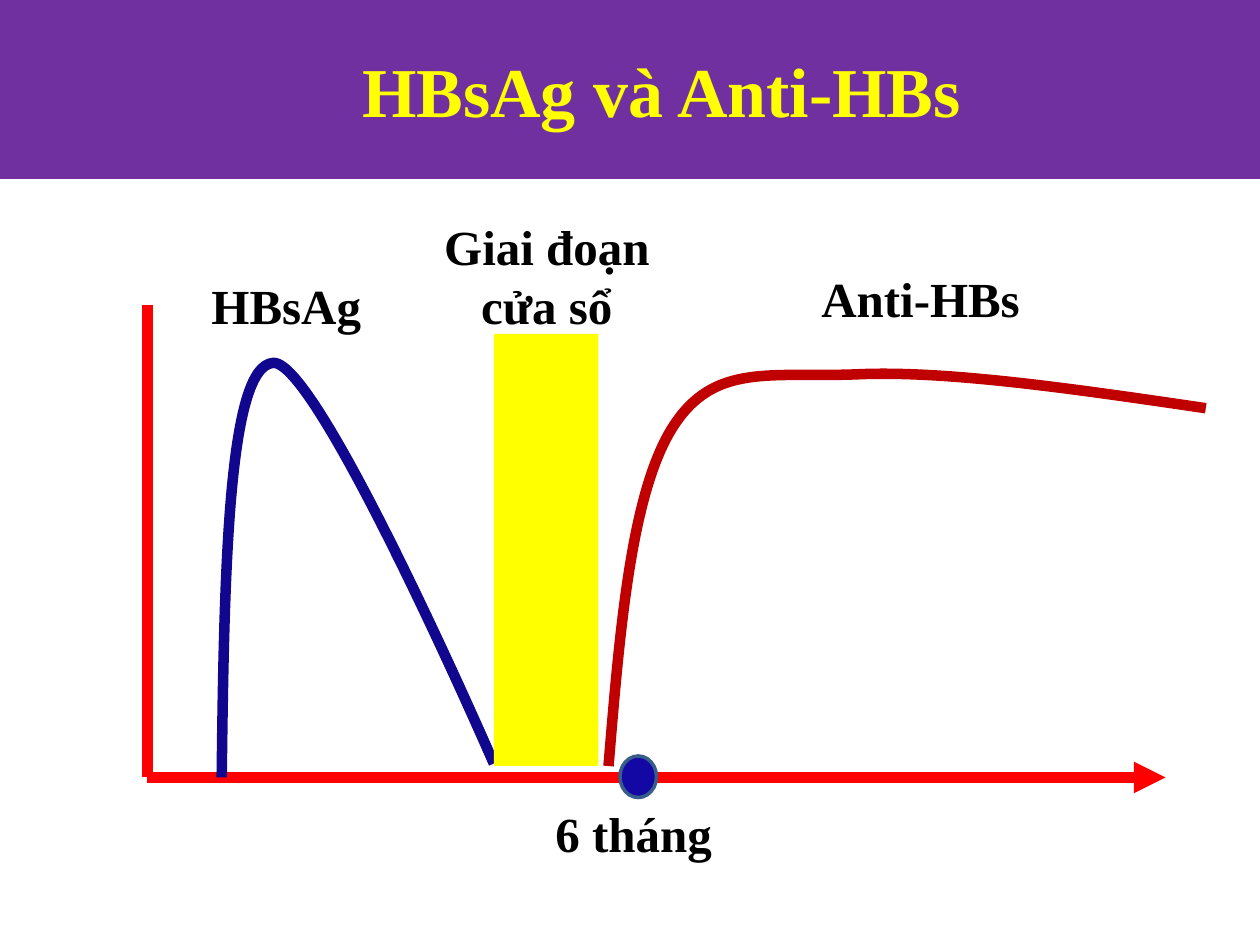
from dataclasses import dataclass

import pptx
import pptx.dml.color
import pptx.enum.shapes
import pptx.enum.text
import pptx.oxml.ns
import pptx.util
from lxml import etree

Inches, Pt = pptx.util.Inches, pptx.util.Pt
qn = pptx.oxml.ns.qn
MSO_SHAPE = pptx.enum.shapes.MSO_SHAPE
ALIGN = pptx.enum.text.PP_ALIGN
Point = tuple[float, float]


@dataclass(frozen=True)
class Theme:
    font: str = "Times New Roman"
    title_size: int = 40
    label_size: int = 28
    stroke: int = 6
    band: str = "7030A0"
    yellow: str = "FFFF00"
    text: str = "000000"
    axis: str = "FF0000"
    marker: str = "1308A4"
    marker_line: str = "385D8A"
    antigen: str = "11078F"
    antibody: str = "C00000"


@dataclass(frozen=True)
class Label:
    text: str
    box: tuple[float, float, float, float]
    align: ALIGN = ALIGN.LEFT


@dataclass(frozen=True)
class Curve:
    color: str
    start: Point
    segments: tuple[tuple[Point, Point, Point], ...]  # two controls, end


THEME = Theme()
ORIGIN: Point = (1.17, 6.17)
CURVES = (
    Curve(THEME.antigen, (1.76, 6.17), (
        ((1.78, 4.53), (1.81, 2.9), (2.17, 2.88)),
        ((2.53, 2.86), (3.92, 6.06), (3.92, 6.06)))),
    Curve(THEME.antibody, (4.83, 6.08), (
        ((4.92, 4.99), (5.01, 3.91), (5.34, 3.39)),
        ((5.67, 2.87), (6.12, 3), (6.82, 2.97)),
        ((7.53, 2.94), (8.55, 3.09), (9.57, 3.24)))),
)
LABELS = (
    Label("6 tháng", (4.31, 6.33, 1.5, 0.57)),
    Label("HBsAg", (1.58, 2.14, 1.92, 0.57)),
    Label("Anti-HBs", (6.42, 2.08, 1.92, 0.57)),
    Label("Giai đoạn cửa sổ", (3.38, 1.67, 1.92, 1.04), ALIGN.CENTER),
)


def rgb(color: str) -> pptx.dml.color.RGBColor:
    return pptx.dml.color.RGBColor.from_string(color)


def set_line(line, color: str, width: float) -> None:
    line.color.rgb = rgb(color)
    line.width = Pt(width)


def write(p, text: str, size: int, color: str, align: ALIGN) -> None:
    p.alignment = align
    r = p.add_run()
    r.text = text
    formats = {"name": THEME.font, "size": Pt(size), "bold": True}
    for name, value in formats.items():
        setattr(r.font, name, value)
    r.font.color.rgb = rgb(color)


def add_block(slide, kind: MSO_SHAPE, box: tuple, fill: str):
    s = slide.shapes.add_shape(kind, *map(Inches, box))
    s.shadow.inherit = False
    s.fill.solid()
    s.fill.fore_color.rgb = rgb(fill)
    s.line.fill.background()
    return s


def add_label(slide, label: Label) -> None:
    tf = slide.shapes.add_textbox(*map(Inches, label.box)).text_frame
    tf.word_wrap = True
    tf.auto_size = pptx.enum.text.MSO_AUTO_SIZE.SHAPE_TO_FIT_TEXT
    write(tf.paragraphs[0], label.text, THEME.label_size, THEME.text, label.align)


def add_axis(slide, start: Point, end: Point, arrow: bool = False) -> None:
    s = slide.shapes.add_connector(
        pptx.enum.shapes.MSO_CONNECTOR.STRAIGHT, *map(Inches, start + end))
    set_line(s.line, THEME.axis, THEME.stroke)
    if arrow:
        etree.SubElement(s.line._get_or_add_ln(), qn("a:tailEnd"), type="triangle")
    etree.SubElement(s._element.spPr, qn("a:effectLst"))


def add_curve(slide, curve: Curve) -> None:
    # Lay out the anchor points, then bend each straight segment
    builder = slide.shapes.build_freeform(*map(Inches, curve.start))
    ends = [tuple(map(Inches, seg[-1])) for seg in curve.segments]
    builder.add_line_segments(ends, close=False)
    s = builder.convert_to_shape()
    s.shadow.inherit = False
    s.fill.background()
    set_line(s.line, curve.color, THEME.stroke)
    straight = list(s._element.iter(qn("a:lnTo")))
    for old, segment in zip(straight, curve.segments):
        bend = etree.Element(qn("a:cubicBezTo"))
        for x, y in segment:
            etree.SubElement(bend, qn("a:pt"), x=str(Inches(x) - s.left),
                             y=str(Inches(y) - s.top))
        old.getparent().replace(old, bend)


def add_title(slide, text: str) -> None:
    s = add_block(slide, MSO_SHAPE.RECTANGLE, (0, 0, 10, 1.42), THEME.band)
    tf = s.text_frame
    tf.word_wrap = True
    tf.vertical_anchor = pptx.enum.text.MSO_ANCHOR.MIDDLE
    p = tf.paragraphs[0]
    p.level = 1
    pPr = p._p.get_or_add_pPr()
    pPr.set("marL", str(Inches(0.81)))
    pPr.set("indent", str(Inches(-0.31)))
    write(p, text, THEME.title_size, THEME.yellow, ALIGN.CENTER)


def main() -> None:
    prs = pptx.Presentation()
    prs.slide_width, prs.slide_height = Inches(10), Inches(7.5)
    slide = prs.slides.add_slide(prs.slide_layouts[6])

    add_title(slide, "HBsAg và Anti-HBs")

    # Axes and the six-month marker
    add_axis(slide, ORIGIN, (9.25, ORIGIN[1]), arrow=True)
    marker = add_block(slide, MSO_SHAPE.OVAL, (4.92, 6, 0.29, 0.33), THEME.marker)
    set_line(marker.line, THEME.marker_line, 2)
    add_axis(slide, (ORIGIN[0], 2.42), ORIGIN)

    # Curves, with the window period over their ends
    for curve in CURVES:
        add_curve(slide, curve)
    add_block(slide, MSO_SHAPE.RECTANGLE, (3.92, 2.65, 0.83, 3.43), THEME.yellow)

    for label in LABELS:
        add_label(slide, label)

    prs.save("out.pptx")


if __name__ == "__main__":
    main()
